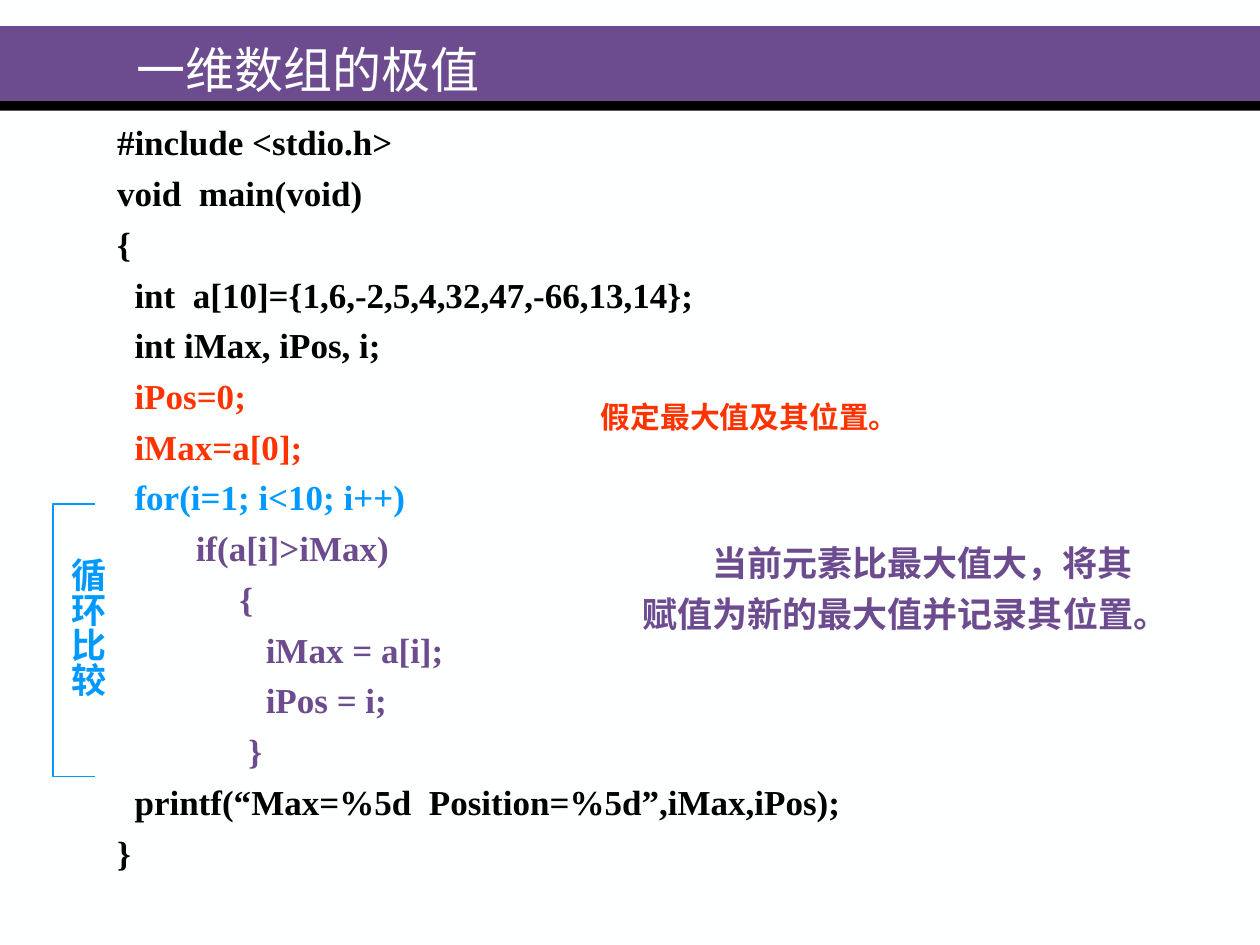
import pptx
import pptx.util
import pptx.dml.color
import pptx.enum.shapes
import pptx.enum.text

Cm, Pt = pptx.util.Cm, pptx.util.Pt
ANCHOR = pptx.enum.text.MSO_ANCHOR
ALIGN = pptx.enum.text.PP_ALIGN

COLORS = {"paper": "FEFFFF", "purple": "6C4C8F", "black": "000000",
          "red": "FF3300", "blue": "0099FF"}
FONT = "Times New Roman"
SPACE = 5

TITLE = [("一维数组的极值", 0, "paper")]
CODE = [
    ("#include <stdio.h>", 0, "black"),
    ("void  main(void)", 0, "black"),
    ("{", 0, "black"),
    ("int  a[10]={1,6,-2,5,4,32,47,-66,13,14};", 2, "black"),
    ("int iMax, iPos, i;", 2, "black"),
    ("iPos=0;", 2, "red"),
    ("iMax=a[0];", 2, "red"),
    ("for(i=1; i<10; i++)", 2, "blue"),
    ("if(a[i]>iMax)", 9, "purple"),
    ("{", 14, "purple"),
    ("iMax = a[i];", 17, "purple"),
    ("iPos = i;", 17, "purple"),
    ("}", 15, "purple"),
    ("printf(“Max=%5d  Position=%5d”,iMax,iPos);", 2, "black"),
    ("}", 0, "black"),
]
ASSUME = [("假定最大值及其位置。", 0, "red")]
UPDATE = [("当前元素比最大值大，将其", 8, "purple"),
          ("赋值为新的最大值并记录其位置。", 0, "purple")]
LOOP = [("循环比较", 0, "blue")]

BARS = [((0, 0.53, 25.4, 1.5), "purple"), ((0, 2.03, 25.4, 0.2), "black")]
BRACKET = [(1.91, 10.16), (1.07, 10.16), (1.07, 15.65), (1.91, 15.65)]


def rgb(name):
    return pptx.dml.color.RGBColor.from_string(COLORS[name])


def add_text(slide, lines, *, at, size=20, bold=True, before=5, spacing=None,
             anchor=ANCHOR.TOP, align=ALIGN.LEFT, vertical=False):
    tf = slide.shapes.add_textbox(*map(Cm, at)).text_frame
    tf.word_wrap = True
    tf.vertical_anchor = anchor
    if vertical:
        tf._txBody.bodyPr.set("vert", "eaVert")
        tf.margin_left = tf.margin_right = Cm(0.13)
        tf.margin_top = tf.margin_bottom = Cm(0.25)
    for i, (text, indent, color) in enumerate(lines):
        p = tf.paragraphs[0] if i == 0 else tf.add_paragraph()
        p.alignment = align
        p.space_before = Pt(before)
        if spacing:
            p.line_spacing = spacing
        if indent:
            p._p.get_or_add_pPr().set("marL", str(Pt(indent * SPACE)))
        r = p.add_run()
        r.text = text
        r.font.name = FONT
        r.font.size = Pt(size)
        r.font.bold = bold
        r.font.color.rgb = rgb(color)


def add_bar(slide, at, color):
    sp = slide.shapes.add_shape(pptx.enum.shapes.MSO_SHAPE.RECTANGLE, *map(Cm, at))
    sp.shadow.inherit = False
    sp.fill.solid()
    sp.fill.fore_color.rgb = rgb(color)
    sp.line.fill.background()


def add_bracket(slide, points, color):
    start, *rest = [(Cm(x), Cm(y)) for x, y in points]
    builder = slide.shapes.build_freeform(*start)
    builder.add_line_segments(rest, close=False)
    sp = builder.convert_to_shape()
    sp.shadow.inherit = False
    sp.fill.background()
    sp.line.color.rgb = rgb(color)
    sp.line.width = Pt(0.75)


def main():
    prs = pptx.Presentation()
    prs.slide_width, prs.slide_height = Cm(25.4), Cm(19.05)
    s = prs.slides.add_slide(prs.slide_layouts[6])
    s.background.fill.solid()
    s.background.fill.fore_color.rgb = rgb("paper")

    for at, color in BARS:
        add_bar(s, at, color)
    add_text(s, CODE, at=(2.11, 2.31, 15.09, 15.42))
    add_text(s, ASSUME, at=(11.86, 7.82, 9.09, 1.07), size=17, spacing=0.9,
             anchor=ANCHOR.BOTTOM)
    add_bracket(s, BRACKET, "blue")
    add_text(s, LOOP, at=(1.22, 11, 1.37, 4.24), anchor=ANCHOR.BOTTOM,
             align=ALIGN.CENTER, vertical=True)
    add_text(s, UPDATE, at=(12.7, 10.57, 12.7, 2.34), anchor=ANCHOR.BOTTOM)
    add_text(s, TITLE, at=(2.51, 0.61, 11.51, 1.57), size=28, bold=False,
             before=0, anchor=ANCHOR.MIDDLE)
    prs.save("out.pptx")


if __name__ == "__main__":
    main()
